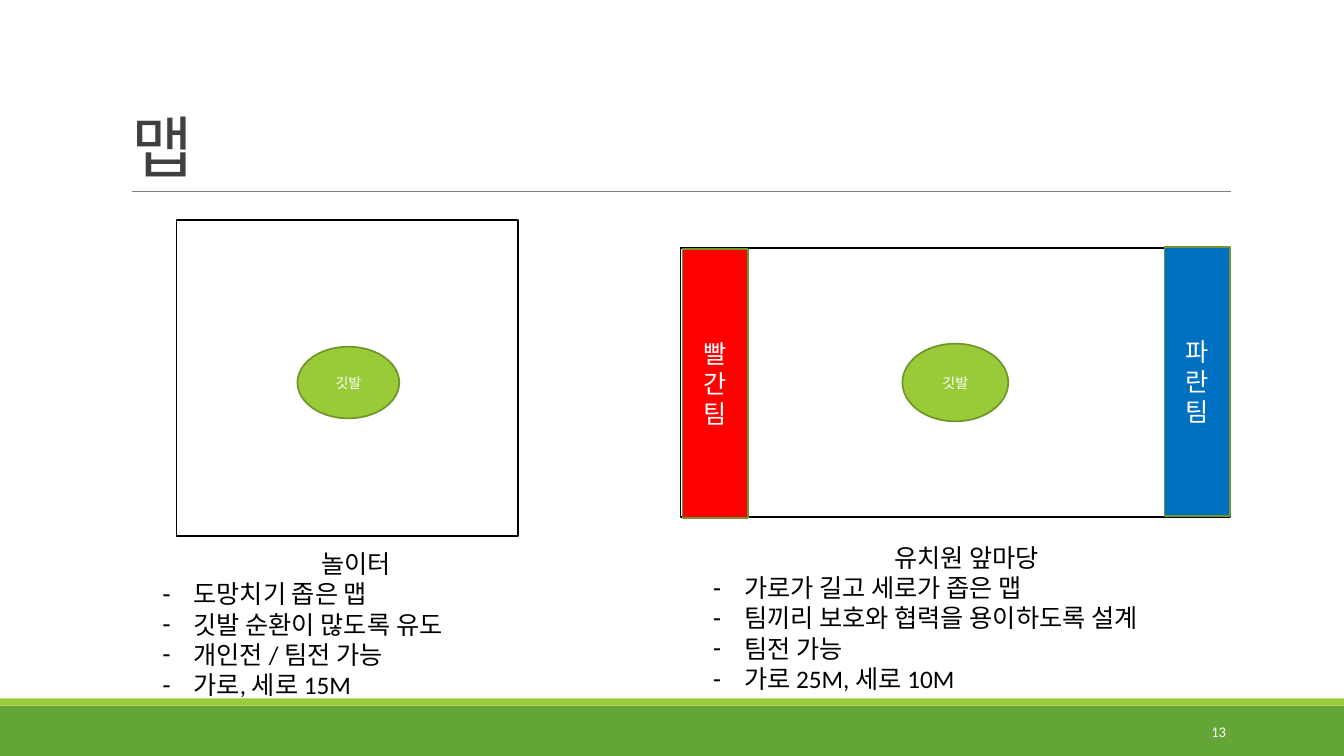
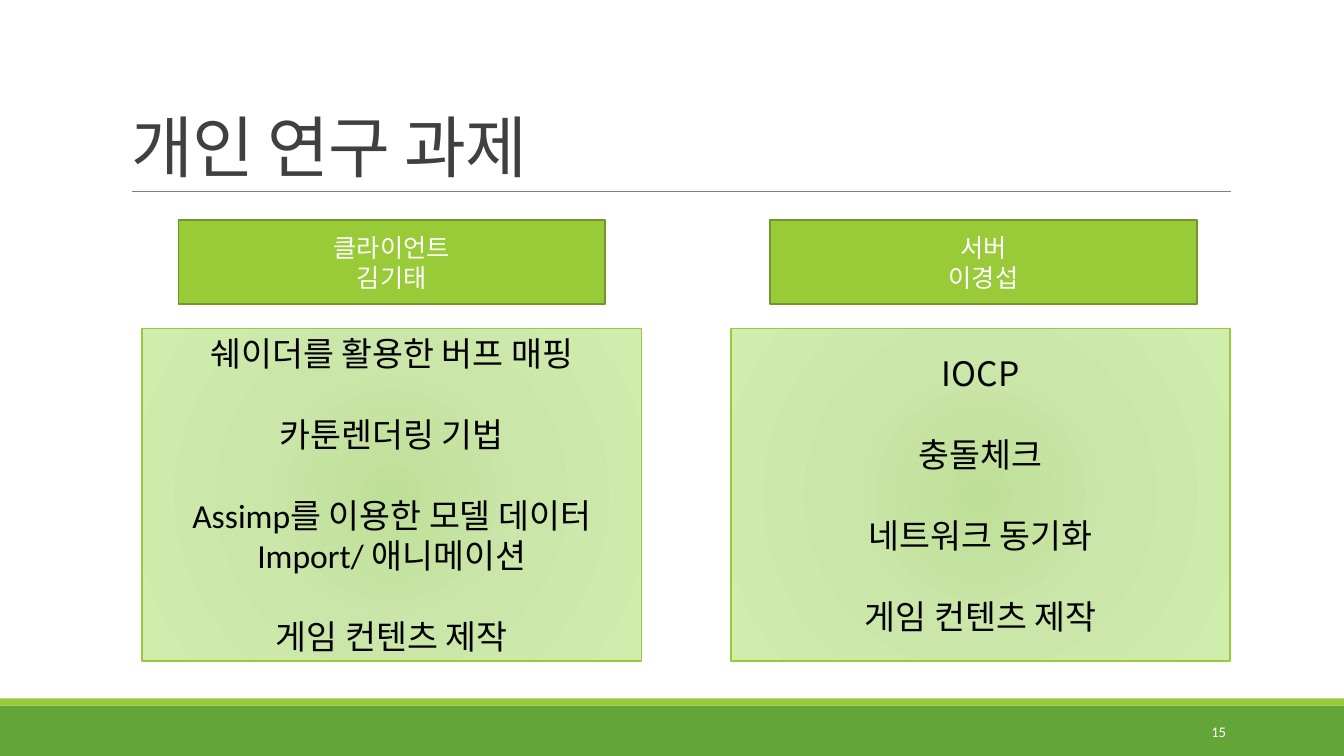
"""Build two slides: game maps and personal research topics."""
from lxml import etree
from pptx import Presentation
from pptx.dml.color import RGBColor
from pptx.enum.shapes import MSO_CONNECTOR, MSO_SHAPE
from pptx.enum.text import MSO_ANCHOR, MSO_AUTO_SIZE, PP_ALIGN
from pptx.oxml import parse_xml
from pptx.oxml.ns import nsdecls, qn
from pptx.util import Pt

PX = 9144
RECT, OVAL = MSO_SHAPE.RECTANGLE, MSO_SHAPE.OVAL
LEFT, MID, RIGHT = PP_ALIGN.LEFT, PP_ALIGN.CENTER, PP_ALIGN.RIGHT
TOP, CENTER, BOTTOM = MSO_ANCHOR.TOP, MSO_ANCHOR.MIDDLE, MSO_ANCHOR.BOTTOM
NOFIT = MSO_AUTO_SIZE.NONE
STRAIGHT = MSO_CONNECTOR.STRAIGHT

WHITE = RGBColor(0xFF, 0xFF, 0xFF)
BLACK = RGBColor(0, 0, 0)
DARK = RGBColor(0x40, 0x40, 0x40)
GRAY = RGBColor(0x80, 0x80, 0x80)
GREEN = RGBColor(0x63, 0xA5, 0x37)
LIME = RGBColor(0x99, 0xCB, 0x38)
OLIVE = RGBColor(0x71, 0x96, 0x29)
RED = RGBColor(0xFF, 0, 0)
BLUE = RGBColor(0, 0x70, 0xC0)
GLOW = ((0, RGBColor(0xBE, 0xDF, 0x97)), (45, RGBColor(0xCA, 0xE6, 0xA9)),
        (100, RGBColor(0xD0, 0xED, 0xAE)))
LATIN, HANGUL = "Calibri", "Noto Sans CJK KR"


def px(*vals):
    """Turn px lengths into EMU."""
    return [val * PX for val in vals]


def write(shape, text, size, color, align=MID, anchor=CENTER, font=LATIN, gap=0):
    """Fill a shape with styled text, one paragraph a line."""
    frame = shape.text_frame
    frame.text = text
    frame.word_wrap = True
    frame.auto_size = NOFIT
    frame.vertical_anchor = anchor
    for num, para in enumerate(frame.paragraphs):
        para.alignment = align
        para.space_before = Pt(gap if num else 0)
        for run in para.runs:
            run.font.size = Pt(size)
            run.font.name = font
            run.font.color.rgb = color


def block(shapes, box, fill, line=None, kind=RECT, width=1.25):
    """Add a preset shape; no fill colour leaves the fill open."""
    shape = shapes.add_shape(kind, *px(*box))
    shape.shadow.inherit = False
    if fill is not None:
        shape.fill.solid()
        shape.fill.fore_color.rgb = fill
    if line is None:
        shape.line.fill.background()
    else:
        shape.line.color.rgb = line
        shape.line.width = Pt(width)
    return shape


def glow(shape):
    """Give a shape the radial fill."""
    stops = "".join(
        f'<a:gs pos="{pos * 1000}"><a:srgbClr val="{color}"/></a:gs>'
        for pos, color in GLOW)
    grad = parse_xml(
        f'<a:gradFill {nsdecls("a")} rotWithShape="1"><a:gsLst>{stops}</a:gsLst>'
        '<a:path path="circle"><a:fillToRect l="100000" t="100000" '
        'r="100000" b="100000"/></a:path></a:gradFill>')
    shape.element.spPr.find(qn("a:prstGeom")).addnext(grad)


def bullet(para, mark):
    """Set a dash bullet, or none, with its indent."""
    props = para._p.get_or_add_pPr()
    step = 31 * PX if mark else 0
    props.set("marL", str(step))
    props.set("indent", str(-step))
    if mark:
        etree.SubElement(props, qn("a:buChar")).set("char", mark)
    else:
        etree.SubElement(props, qn("a:buNone"))


def place(shape, box):
    """Move and size a placeholder."""
    shape.left, shape.top, shape.width, shape.height = px(*box)


def notes(holder, box, head, items):
    """Write a centred heading over a dashed list."""
    place(holder, box)
    write(holder, "\n".join([head, *items]), 18, BLACK, LEFT, TOP)
    for num, para in enumerate(holder.text_frame.paragraphs):
        bullet(para, "-" if num else None)
    holder.text_frame.paragraphs[0].alignment = MID


def field(slide, box, flag):
    """Draw a map outline with its flag spot as a group."""
    shapes = slide.shapes.add_group_shape().shapes
    block(shapes, box, WHITE, BLACK)
    write(block(shapes, flag, LIME, OLIVE, OVAL), "깃발", 10, WHITE)


def frame(prs, slide):
    """Draw the bands and the title rule, and move them to the master."""
    rule = slide.shapes.add_connector(STRAIGHT, *px(131, 190, 1221, 190))
    rule.line.color.rgb = GRAY
    rule.line.width = Pt(0.5)
    etree.SubElement(rule.element.spPr, qn("a:effectLst"))
    bands = [block(slide.shapes, (0, 700, 1333, 50), GREEN),
             block(slide.shapes, (0, 693, 1333, 7), LIME)]
    for part in [*bands, rule]:
        prs.slide_master.shapes.element.append(part.element)


def page(prs, layout, title, num):
    """Add a slide with its title and number."""
    slide = prs.slides.add_slide(prs.slide_layouts[layout])
    head = slide.shapes.title
    place(head, (120, 31, 1100, 159))
    write(head, title, 48, DARK, LEFT, BOTTOM)
    para = head.text_frame.paragraphs[0]
    para.line_spacing = 0.85
    para.runs[0].font._element.set("spc", "-50")
    foot = slide.shapes.add_textbox(*px(1083, 706, 143, 40))
    write(foot, str(num), 10.5, WHITE, RIGHT)
    return slide


def maps(prs):
    """Build the map slide."""
    slide = page(prs, 3, "맵", 13)
    frame(prs, slide)
    field(slide, (175, 218, 339, 314), (295, 344, 101, 71))
    field(slide, (675, 246, 545, 267), (895, 341, 105, 77))
    for left, top, fill, team in ((677, 247, RED, "빨간팀"), (1155, 245, BLUE, "파란팀")):
        write(block(slide.shapes, (left, top, 65, 267), fill, OLIVE), team, 18, WHITE)
    notes(slide.placeholders[1], (151, 539, 404, 162), "놀이터",
          ["도망치기 좁은 맵", "깃발 순환이 많도록 유도", "개인전 / 팀전 가능",
           "가로, 세로 15M"])
    notes(slide.placeholders[2], (697, 533, 523, 162), "유치원 앞마당",
          ["가로가 길고 세로가 좁은 맵", "팀끼리 보호와 협력을 용이하도록 설계",
           "팀전 가능", "가로 25M, 세로 10M"])


def topics(prs):
    """Build the research slide."""
    slide = page(prs, 5, "개인 연구 과제", 15)
    cols = (
        (177, 141, "클라이언트\n김기태", LATIN,
         ["쉐이더를 활용한 버프 매핑", "카툰렌더링 기법",
          "Assimp를 이용한 모델 데이터 Import/ 애니메이션", "게임 컨텐츠 제작"]),
        (764, 725, "서버\n이경섭", HANGUL,
         ["IOCP", "충돌체크", "네트워크 동기화", "게임 컨텐츠 제작"]),
    )
    for tab, left, owner, font, items in cols:
        write(block(slide.shapes, (tab, 218, 423, 84), LIME, OLIVE), owner, 18, WHITE)
        panel = block(slide.shapes, (left, 326, 495, 330), None, LIME, width=1)
        glow(panel)
        write(panel, "\n".join(items), 24, BLACK, font=font, gap=29)


def main():
    """Build and save the deck."""
    prs = Presentation()
    prs.slide_width, prs.slide_height = px(1333, 750)
    maps(prs)
    topics(prs)
    prs.save("out.pptx")


if __name__ == "__main__":
    main()
